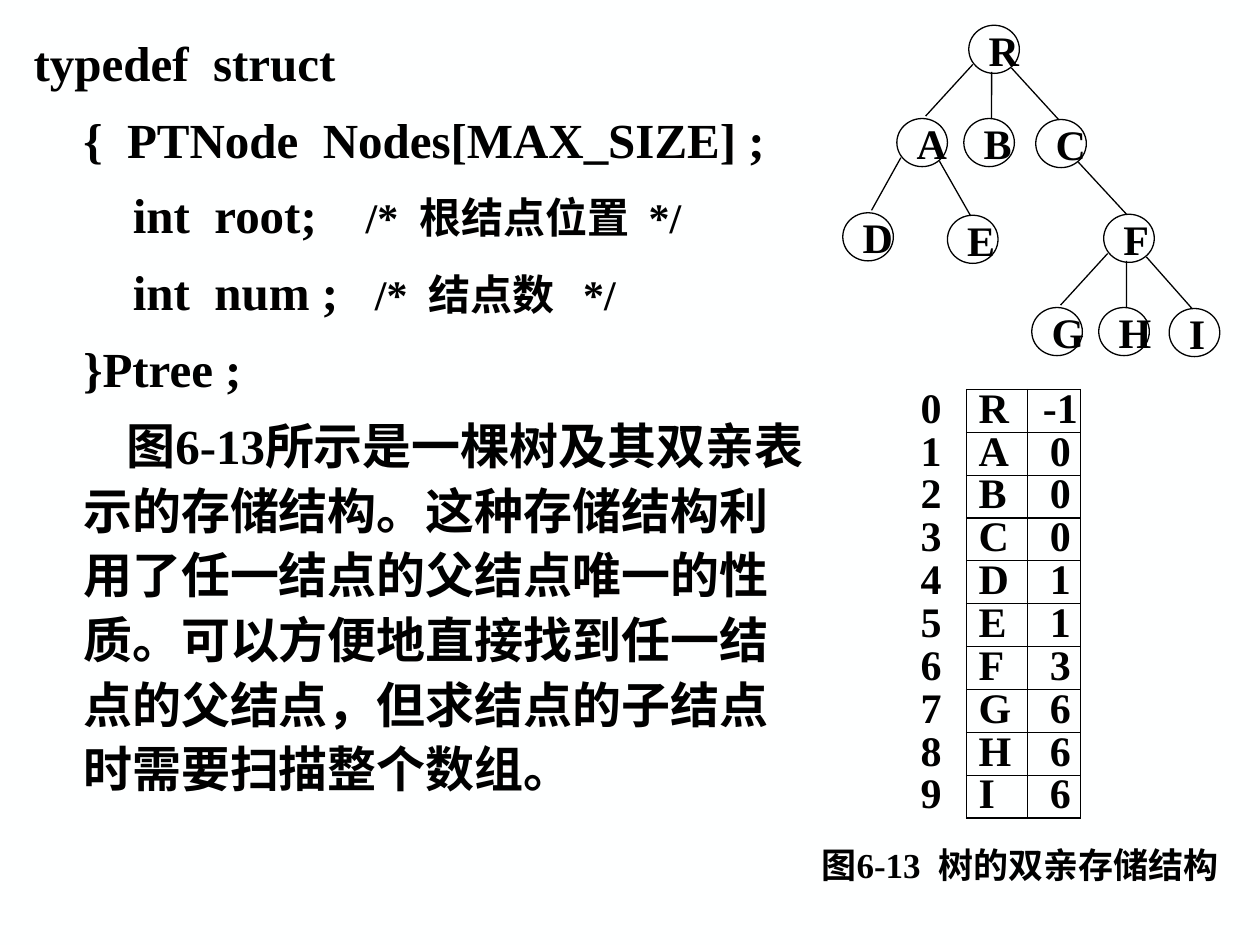
from lxml.etree import SubElement
from pptx import Presentation
from pptx.dml.color import RGBColor
from pptx.enum.shapes import MSO_CONNECTOR, MSO_SHAPE
from pptx.enum.text import MSO_ANCHOR, PP_ALIGN
from pptx.oxml.ns import qn
from pptx.util import Cm, Pt

INK = "000000"
PAPER = "FEFFFF"
LATIN_FONT = "Times New Roman"
CHINESE_FONT = "Noto Sans CJK SC"
LINE_WIDTH = Pt(0.75)

CODE = [
    (0, 0, 7, [("typedef  struct", 28)]),
    (1, 0, 7, [("{  PTNode  Nodes[MAX_SIZE] ;", 28)]),
    (2, 0, 6, [("int  root;    ", 28), ("/*  根结点位置  */", 24)]),
    (2, 0, 7, [("int  num ;   ", 28), ("/*  结点数   */", 24)]),
    (1, 0, 7, [("}Ptree ;", 28)]),
    (1, 0.87, 7, [("图6-13所示是一棵树及其双亲表示的存储结构。这种存储结构利用了"
                   "任一结点的父结点唯一的性质。可以方便地直接找到任一结点的父结点，"
                   "但求结点的子结点时需要扫描整个数组。", 28)]),
]
NODES = {
    "R": (19.53, 0.51), "A": (18.08, 2.39), "B": (19.43, 2.39),
    "C": (20.88, 2.41), "D": (16.99, 4.29), "E": (19.1, 4.34),
    "F": (22.25, 4.32), "G": (20.8, 6.2), "H": (22.15, 6.2), "I": (23.57, 6.22),
}
BRANCHES = {
    "left": ((0.08, 0.79), (0.58, -0.05)),
    "middle": ((0.46, 0.94), (0.56, 0)),
    "right": ((0.86, 0.86), (0.46, 0)),
}
EDGES = [
    ("R", "A", "left"), ("R", "B", "middle"), ("R", "C", "right"),
    ("A", "D", "left"), ("A", "E", "right"), ("C", "F", "right"),
    ("F", "G", "left"), ("F", "H", "middle"), ("F", "I", "right"),
]
PARENTS = [-1, 0, 0, 0, 1, 1, 3, 6, 6, 6]


def colour(value):
    return RGBColor.from_string(value)


class SlideWriter:
    """Draws styled text, tree nodes, edges and a parent array on one slide."""

    def __init__(self, slide):
        self.slide = slide
        slide.background.fill.solid()
        slide.background.fill.fore_color.rgb = colour(PAPER)

    def run(self, paragraph, text, size):
        run = paragraph.add_run()
        run.text = text
        run.font.size = Pt(size)
        run.font.bold = True
        run.font.name = LATIN_FONT
        run.font.color.rgb = colour(INK)
        SubElement(run.font._element, qn("a:ea"), typeface=CHINESE_FONT)

    def code(self, left, top, width, height, lines):
        frame = self.slide.shapes.add_textbox(
            Cm(left), Cm(top), Cm(width), Cm(height)).text_frame
        frame.word_wrap = True
        for index, (level, indent, before, runs) in enumerate(lines):
            paragraph = frame.add_paragraph() if index else frame.paragraphs[0]
            paragraph.level = level
            paragraph.line_spacing = 1.1
            paragraph.space_before = Pt(before)
            properties = paragraph._p.get_or_add_pPr()
            properties.set("marL", str(Cm(level)))
            properties.set("indent", str(Cm(indent)))
            for text, size in runs:
                self.run(paragraph, text, size)

    def caption(self, left, top, width, height, text):
        frame = self.slide.shapes.add_textbox(
            Cm(left), Cm(top), Cm(width), Cm(height)).text_frame
        frame.word_wrap = False
        frame.vertical_anchor = MSO_ANCHOR.MIDDLE
        self.run(frame.paragraphs[0], text, 20)

    def node(self, name, left, top):
        shape = self.slide.shapes.add_shape(
            MSO_SHAPE.OVAL, Cm(left), Cm(top), Cm(1.02), Cm(0.97))
        shape.shadow.inherit = False
        shape.fill.background()
        shape.line.color.rgb = colour(INK)
        shape.line.width = LINE_WIDTH
        frame = shape.text_frame
        frame.word_wrap = False
        frame.vertical_anchor = MSO_ANCHOR.MIDDLE
        frame.paragraphs[0].alignment = PP_ALIGN.LEFT
        self.run(frame.paragraphs[0], name, 24)

    def edge(self, parent, child, branch):
        ends = [Cm(place + shift)
                for name, offset in zip((parent, child), BRANCHES[branch])
                for place, shift in zip(NODES[name], offset)]
        connector = self.slide.shapes.add_connector(MSO_CONNECTOR.STRAIGHT, *ends)
        connector.line.color.rgb = colour(INK)
        connector.line.width = LINE_WIDTH
        SubElement(connector._element.spPr, qn("a:effectLst"))

    def border(self, cell, side, visible):
        line = SubElement(cell._tc.get_or_add_tcPr(), qn(f"a:ln{side}"),
                          w=str(LINE_WIDTH))
        if visible:
            fill = SubElement(line, qn("a:solidFill"))
            SubElement(fill, qn("a:srgbClr"), val=INK)
        else:
            SubElement(line, qn("a:noFill"))

    def array(self, left, top, height, widths, rows):
        table = self.slide.shapes.add_table(
            len(rows), len(widths), Cm(left), Cm(top),
            Cm(sum(widths)), Cm(height)).table
        table.first_row = table.horz_banding = False
        for column, width in zip(table.columns, widths):
            column.width = Cm(width)
        for row, values in zip(table.rows, rows):
            for index, (cell, value) in enumerate(zip(row.cells, values)):
                for side in "LRTB":
                    self.border(cell, side, index > 0 or side == "R")
                cell.fill.background()
                cell.margin_left = Cm(0.25)
                cell.margin_right = cell.margin_top = cell.margin_bottom = 0
                cell.vertical_anchor = MSO_ANCHOR.BOTTOM
                paragraph = cell.text_frame.paragraphs[0]
                paragraph.line_spacing = Pt(24)
                paragraph.alignment = PP_ALIGN.CENTER if index == 2 else PP_ALIGN.LEFT
                self.run(paragraph, str(value), 24)


def main():
    presentation = Presentation()
    presentation.slide_width, presentation.slide_height = Cm(25.4), Cm(19.05)
    writer = SlideWriter(presentation.slides.add_slide(presentation.slide_layouts[6]))
    writer.code(0.43, 0.41, 16.08, 15.8, CODE)
    for name, (left, top) in NODES.items():
        writer.node(name, left, top)
    for parent, child, branch in EDGES:
        writer.edge(parent, child, branch)
    rows = [(index, name, parent)
            for index, (name, parent) in enumerate(zip(NODES, PARENTS))]
    writer.array(18.31, 7.85, 8.64, (1.17, 1.24, 1.06), rows)
    writer.caption(16.31, 16.94, 8.95, 0.99, "图6-13  树的双亲存储结构")
    presentation.save("out.pptx")


if __name__ == "__main__":
    main()
